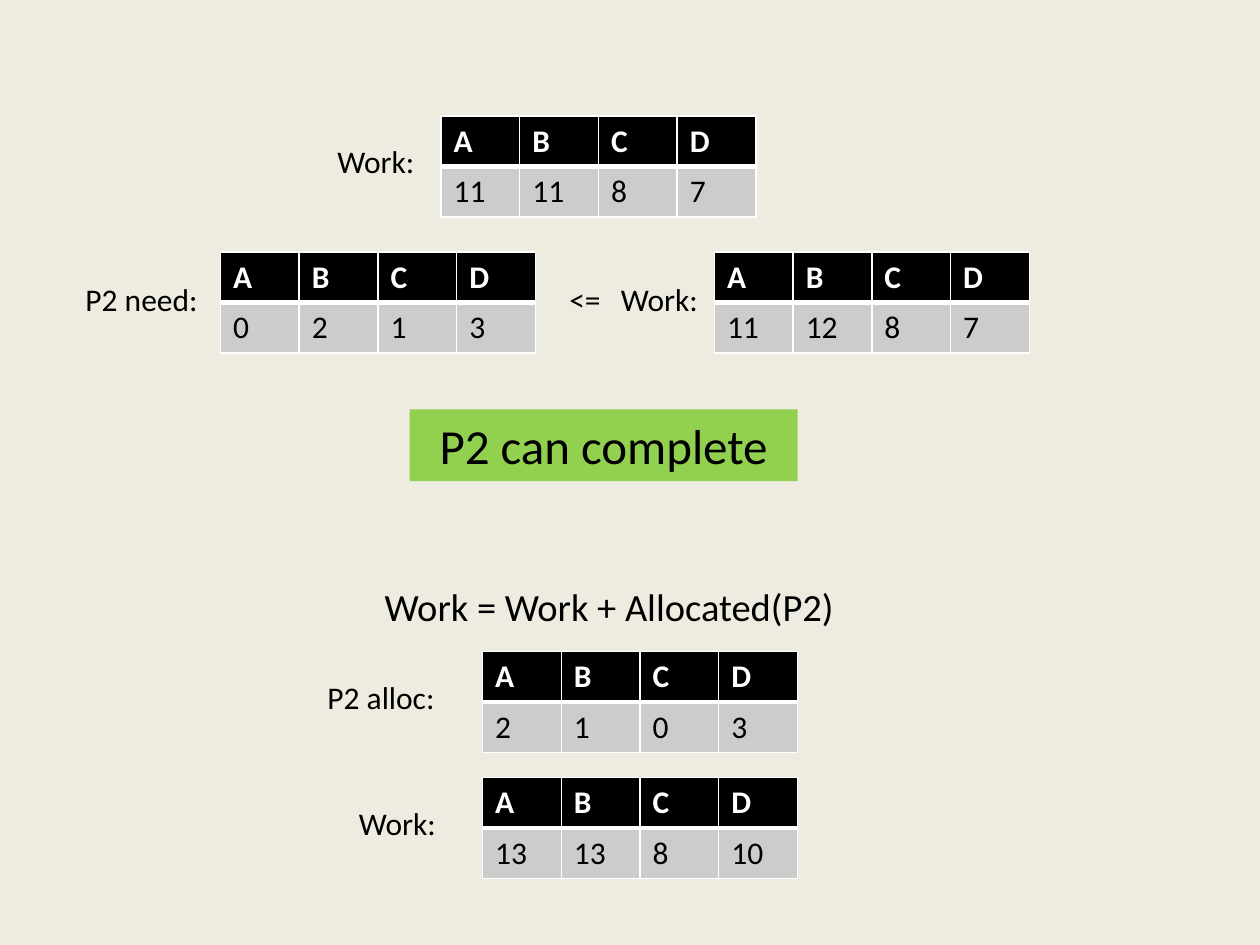
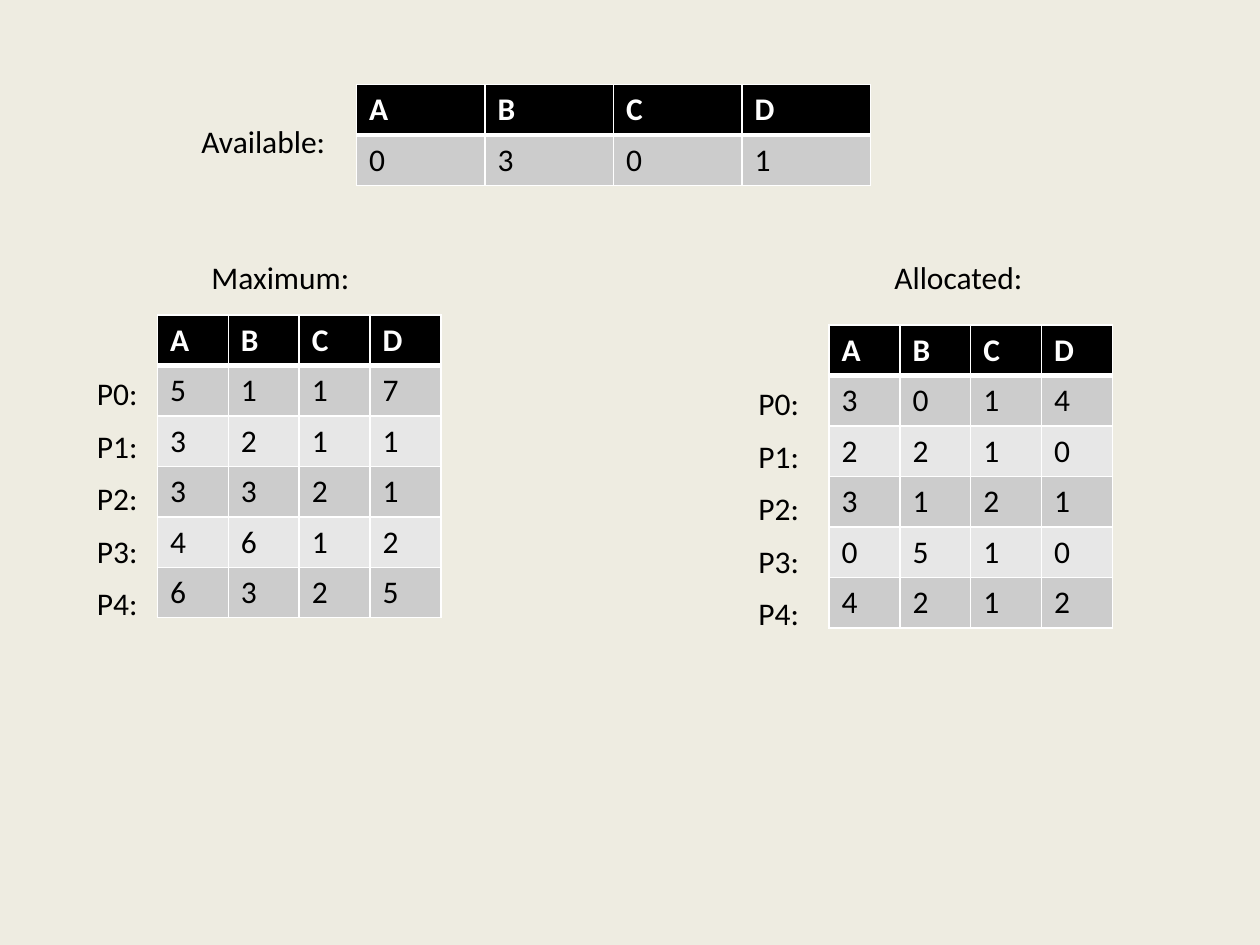
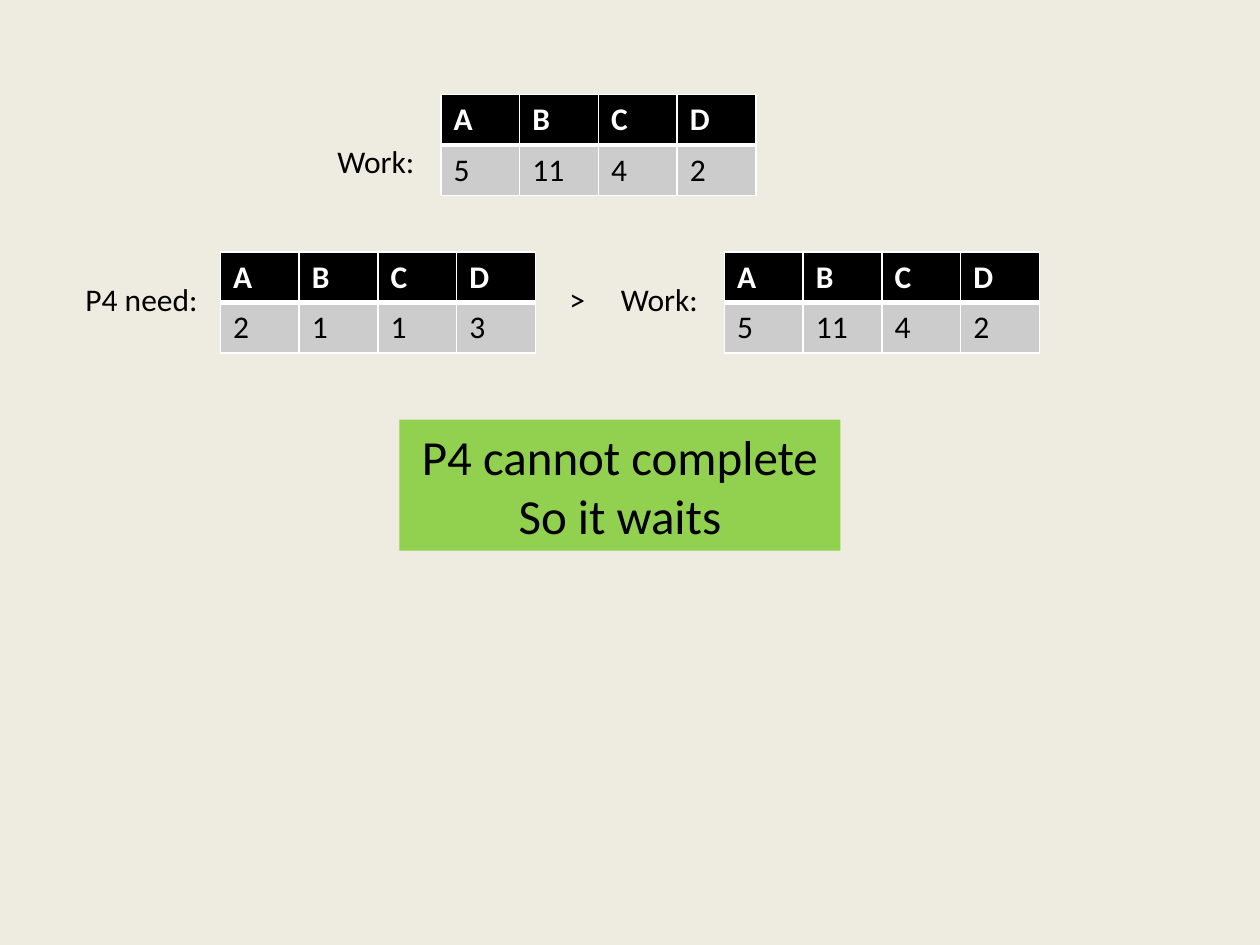
from dataclasses import dataclass

from pptx import Presentation
from pptx import util as u
from pptx.dml.color import RGBColor
from pptx.enum import shapes, text
from pptx.oxml import parse_xml
from pptx.oxml.ns import nsdecls


@dataclass(frozen=True)
class Theme:
    font: str = "Calibri"
    background: str = "EEECE1"
    ink: str = "000000"
    paper: str = "FFFFFF"
    bands: tuple = ("CCCCCC", "E7E7E7")
    verdict: str = "92D050"
    body: int = 18
    formula: int = 22
    headline: int = 28
    thin: int = 1
    thick: int = 3


THEME = Theme()
RESOURCES = ["A", "B", "C", "D"]
ROW_HEIGHT = 0.4
LABEL_HEIGHT = 0.4
PROCESS_PITCH = 5 / 12


def box(left, top, width, height):
    return [u.Inches(v) for v in (left, top, width, height)]


# Text
def write(tf, content, size, color=THEME.ink, bold=False, align=None):
    tf.text = content
    for p in tf.paragraphs:
        p.alignment = align
        for r in p.runs:
            r.font.name = THEME.font
            r.font.size = u.Pt(size)
            r.font.bold = bold
            r.font.color.rgb = RGBColor.from_string(color)


def add_label(parent, content, left, top, width, height=LABEL_HEIGHT,
              size=THEME.body, align=None):
    sp = parent.shapes.add_textbox(*box(left, top, width, height))
    sp.text_frame.word_wrap = True
    write(sp.text_frame, content, size, align=align)


def add_verdict(slide, content, left, top, width, height):
    sp = slide.shapes.add_shape(shapes.MSO_SHAPE.RECTANGLE,
                                *box(left, top, width, height))
    sp.shadow.inherit = False
    sp.fill.solid()
    sp.fill.fore_color.rgb = RGBColor.from_string(THEME.verdict)
    sp.line.fill.background()
    sp.text_frame.word_wrap = True
    write(sp.text_frame, content, THEME.headline, align=text.PP_ALIGN.CENTER)


# Tables
def set_borders(cell, top, bottom):
    tcPr = cell._tc.get_or_add_tcPr()
    widths = {"L": THEME.thin, "R": THEME.thin, "T": top, "B": bottom}
    for side, width in widths.items():
        tcPr.append(parse_xml(
            f'<a:ln{side} {nsdecls("a")} w="{u.Pt(width)}"><a:solidFill>'
            f'<a:srgbClr val="{THEME.paper}"/></a:solidFill></a:ln{side}>'))


def add_resource_table(slide, rows, left, top, width=2.5):
    data = [RESOURCES, *rows]
    frame = slide.shapes.add_table(
        len(data), len(RESOURCES),
        *box(left, top, width, ROW_HEIGHT * len(data)))
    table = frame.table
    table.horz_banding = False
    for i, values in enumerate(data):
        header = i == 0
        fill = THEME.ink if header else THEME.bands[(i - 1) % 2]
        for j, value in enumerate(values):
            cell = table.cell(i, j)
            set_borders(cell,
                        top=THEME.thick if i == 1 else THEME.thin,
                        bottom=THEME.thick if header else THEME.thin)
            cell.fill.solid()
            cell.fill.fore_color.rgb = RGBColor.from_string(fill)
            write(cell.text_frame, str(value), THEME.body,
                  THEME.paper if header else THEME.ink, bold=header)


def add_process_labels(slide, left, top):
    group = slide.shapes.add_group_shape()
    for i in range(5):
        add_label(group, f"P{i}:", left, top + i * PROCESS_PITCH, 0.58)


# Current work on top, then the need of one process against it
def add_comparison(slide, process, work, work_top, need, sign, compared,
                   compared_left):
    add_label(slide, "Work:", 2.58, 1.08, 0.83)
    add_resource_table(slide, [work], 3.5, work_top)
    add_label(slide, f"{process} need:", 0.58, 2.17, 1.17)
    add_resource_table(slide, [need], 1.75, 2)
    add_label(slide, sign, 4.42, 2.17, 0.5)
    add_label(slide, "Work:", 4.83, 2.17, 0.83)
    add_resource_table(slide, [compared], compared_left, 2)


# Slides
def build_p2_completes(slide):
    add_comparison(slide, "P2", [11, 11, 8, 7], 0.92, [0, 2, 1, 3], "<=",
                   [11, 12, 8, 7], 5.67)
    add_verdict(slide, "P2 can complete", 3.25, 3.25, 3.08, 0.57)
    add_label(slide, "Work = Work + Allocated(P2)", 2.67, 4.58, 4.33, 0.47,
              THEME.formula, text.PP_ALIGN.CENTER)
    add_label(slide, "P2 alloc:", 2.5, 5.33, 1.17)
    add_resource_table(slide, [[2, 1, 0, 3]], 3.83, 5.17)
    add_label(slide, "Work:", 2.75, 6.33, 0.83)
    add_resource_table(slide, [[13, 13, 8, 10]], 3.83, 6.17)


def build_initial_state(slide):
    add_label(slide, "Available:", 1.5, 0.92, 1.33)
    add_resource_table(slide, [[0, 3, 0, 1]], 2.83, 0.67, 4.08)

    maximum = [[5, 1, 1, 7], [3, 2, 1, 1], [3, 3, 2, 1],
               [4, 6, 1, 2], [6, 3, 2, 5]]
    add_label(slide, "Maximum:", 1.58, 2, 1.33)
    add_resource_table(slide, maximum, 1.25, 2.5, 2.25)
    add_process_labels(slide, 0.67, 2.92)

    allocated = [[3, 0, 1, 4], [2, 2, 1, 0], [3, 1, 2, 1],
                 [0, 5, 1, 0], [4, 2, 1, 2]]
    add_label(slide, "Allocated:", 7, 2, 1.33)
    add_resource_table(slide, allocated, 6.58, 2.58, 2.25)
    add_process_labels(slide, 5.92, 3)


def build_p4_waits(slide):
    work = [5, 11, 4, 2]
    add_comparison(slide, "P4", work, 0.75, [2, 1, 1, 3], ">", work, 5.75)
    add_verdict(slide, "P4 cannot complete\nSo it waits",
                3.17, 3.33, 3.5, 1.04)


def main():
    prs = Presentation()
    prs.slide_width, prs.slide_height = u.Inches(10), u.Inches(7.5)
    fill = prs.slide_master.background.fill
    fill.solid()
    fill.fore_color.rgb = RGBColor.from_string(THEME.background)
    for build in (build_p2_completes, build_initial_state, build_p4_waits):
        build(prs.slides.add_slide(prs.slide_layouts[6]))
    prs.save("out.pptx")


if __name__ == "__main__":
    main()
